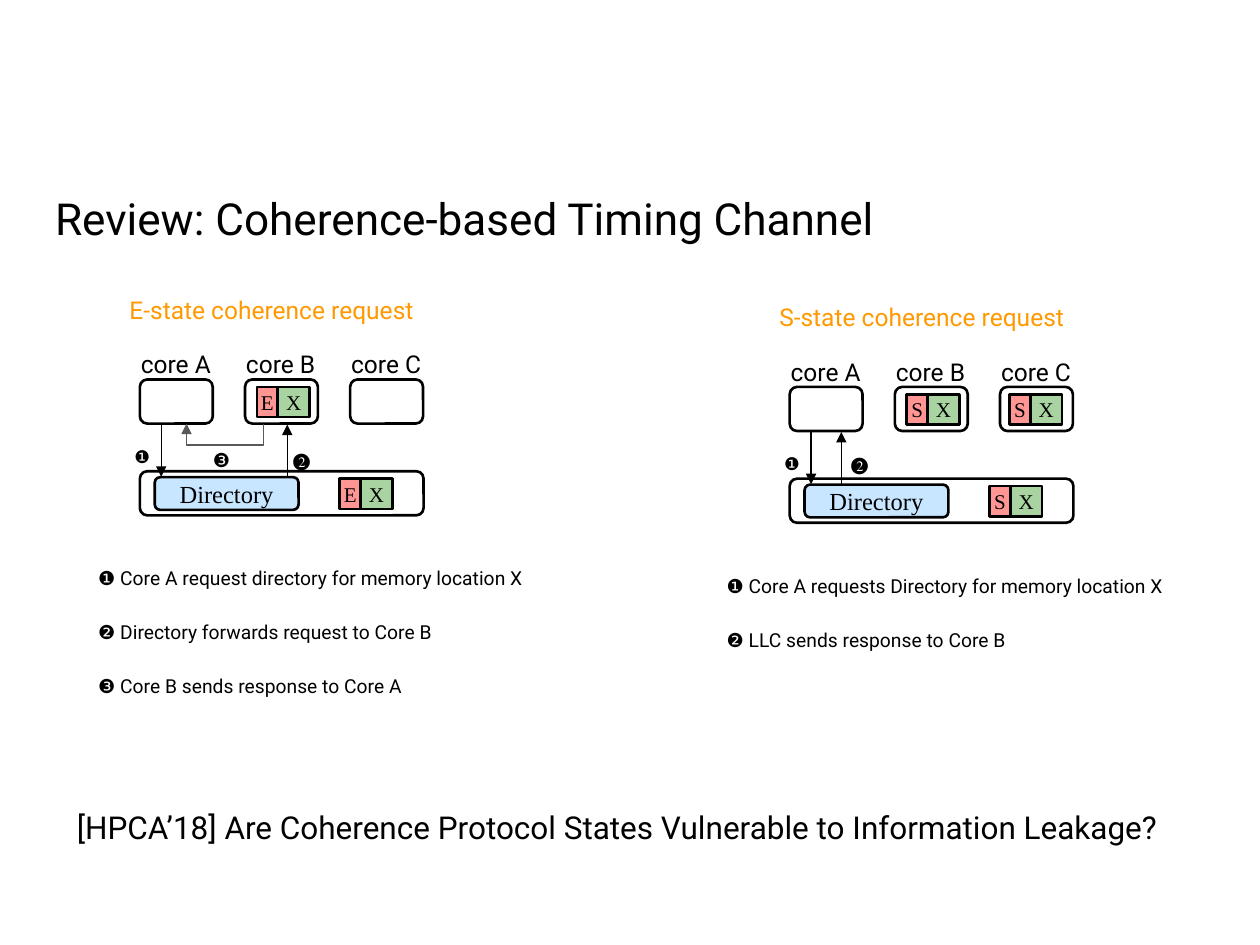
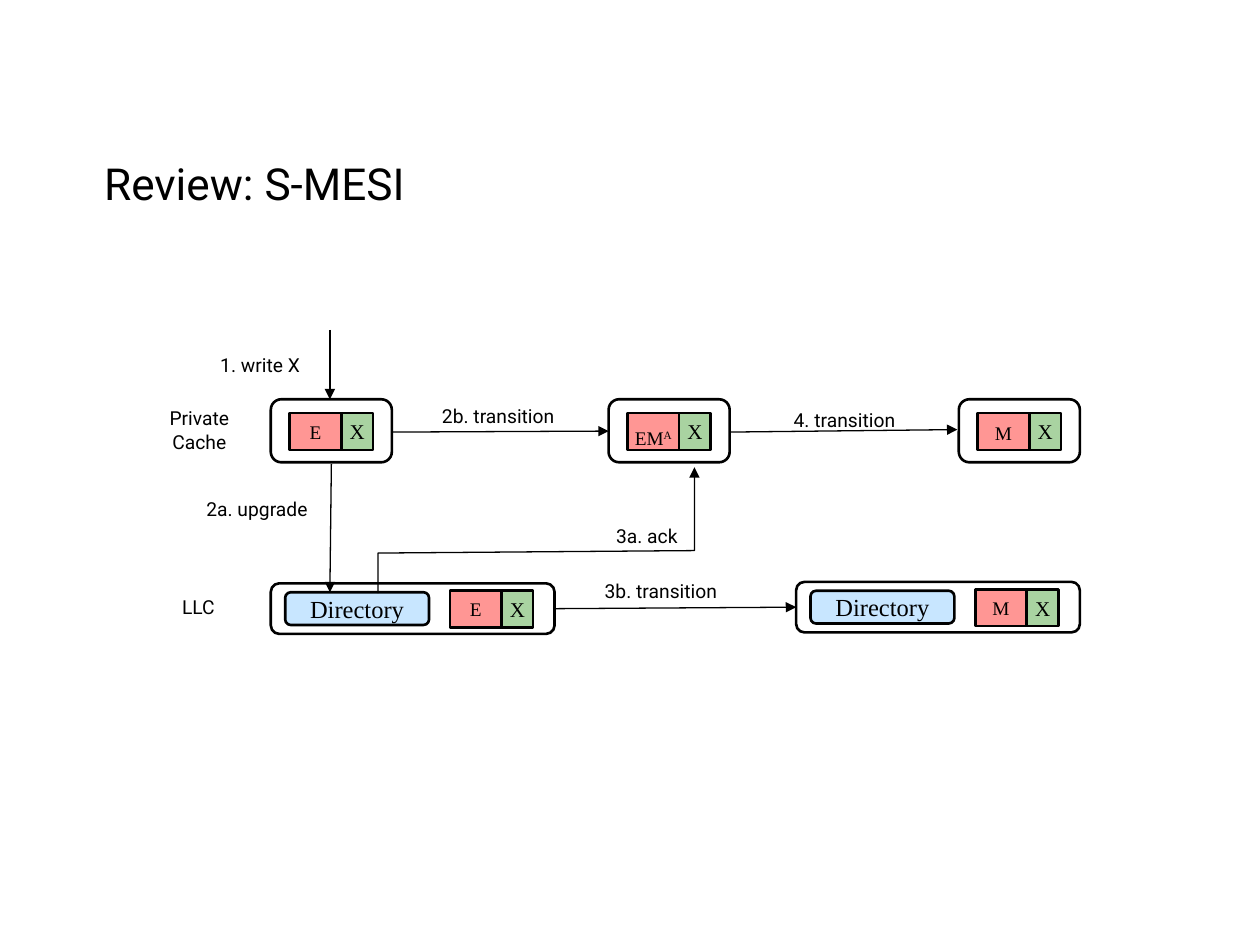
from lxml.etree import SubElement
from pptx import Presentation
from pptx.dml.color import RGBColor
from pptx.enum.shapes import MSO_CONNECTOR, MSO_SHAPE
from pptx.enum.text import MSO_ANCHOR, MSO_AUTO_SIZE, PP_ALIGN
from pptx.oxml.ns import qn
from pptx.util import Cm, Pt

COLORS = {
    "black": "000000",
    "gray": "595959",
    "orange": "FF9900",
    "state": "FF9694",
    "data": "A9D3A1",
    "directory": "C8E6FF",
}
ROUNDED = MSO_SHAPE.ROUNDED_RECTANGLE
SANS, SERIF, SYMBOL = "Roboto", "Times New Roman", "Arial"
TITLE_SIZE = 25.2
CELL = {"font": SERIF, "align": PP_ALIGN.CENTER, "margin": 0, "wrap": False}
DIRECTORY = {"font": SERIF, "size": 14, "align": PP_ALIGN.CENTER, "fill": "directory"}


def add_box(slide, kind, place, text="", fill=None, font=SANS, size=11, color="black",
            align=PP_ALIGN.LEFT, spacing=1.0, margin=0.25, drop=0, wrap=True):
    """Add a preset shape, a text box (kind None) or fill the title (kind "title").

    A caret in the text starts a superscript; drop is extra space above the text.
    """
    lengths = [Cm(length) for length in place]
    if kind == "title":
        shape = slide.shapes.title
        for name, length in zip(("left", "top", "width", "height"), lengths):
            setattr(shape, name, length)
    elif kind is None:
        shape = slide.shapes.add_textbox(*lengths)
    else:
        shape = slide.shapes.add_shape(kind, *lengths)
        shape.shadow.inherit = False
        shape.line.color.rgb = RGBColor.from_string(COLORS["black"])
        shape.line.width = Pt(1.5)
        if fill:
            shape.fill.solid()
            shape.fill.fore_color.rgb = RGBColor.from_string(COLORS[fill])
        else:
            shape.fill.background()
    if not text:
        return

    frame = shape.text_frame
    is_preset = kind not in (None, "title")
    frame_format = {
        "word_wrap": wrap,
        "auto_size": MSO_AUTO_SIZE.NONE,
        "vertical_anchor": MSO_ANCHOR.MIDDLE if is_preset else MSO_ANCHOR.TOP,
        "margin_left": Cm(margin),
        "margin_right": Cm(margin),
        "margin_top": Cm(margin + drop),
        "margin_bottom": Cm(margin),
    }
    for name, value in frame_format.items():
        setattr(frame, name, value)
    for index, line in enumerate(text.split("\n")):
        paragraph = frame.add_paragraph() if index else frame.paragraphs[0]
        paragraph.alignment = align
        paragraph.line_spacing = spacing
        for part, words in enumerate(line.split("^")):
            run = paragraph.add_run()
            run.text = words
            for name, value in {"name": font, "size": Pt(size), "bold": False}.items():
                setattr(run.font, name, value)
            run.font.color.rgb = RGBColor.from_string(COLORS[color])
            if part:
                run.font._element.set("baseline", "30000")


def add_arrow(slide, points, color="black"):
    """Draw a straight connector for two points, otherwise an open bent line."""
    corners = [(Cm(x), Cm(y)) for x, y in points]
    if len(corners) == 2:
        shape = slide.shapes.add_connector(MSO_CONNECTOR.STRAIGHT, *corners[0], *corners[1])
    else:
        builder = slide.shapes.build_freeform(*corners[0])
        builder.add_line_segments(corners[1:], close=False)
        shape = builder.convert_to_shape()
        shape.fill.background()
    shape.line.color.rgb = RGBColor.from_string(COLORS[color])
    shape.line.width = Pt(0.75)
    properties = shape._element.spPr
    SubElement(properties.find(qn("a:ln")), qn("a:tailEnd"), type="triangle")
    SubElement(properties, qn("a:effectLst"))


presentation = Presentation()
presentation.slide_width = Cm(25.4)
presentation.slide_height = Cm(19.05)
title_only = presentation.slide_layouts[5]

# Slide 1: two coherence requests, each laid out from the corner of its core A
slide = presentation.slides.add_slide(title_only)
add_box(slide, "title", (0.86, 3.61, 23.67, 1.6),
        "Review: Coherence-based Timing Channel", size=TITLE_SIZE)

panels = [
    {
        "origin": (2.82, 7.65),
        "state": "E",
        "cells": [(2.36, 0.15), (4.03, 2.0)],
        "response_x": 2.97,
        "response_label": (2.84, 1.07),
        "steps_left": -1.09,
        "steps": [
            ("❶ Core A request directory for memory location X", 9.5),
            ("❷ Directory forwards request to Core B", 8.33),
            ("❸ Core B sends response to Core A", 8.33),
        ],
    },
    {
        "origin": (15.92, 7.8),
        "state": "S",
        "cells": [(2.36, 0.15), (4.43, 0.15), (4.03, 2.0)],
        "response_x": 1.04,
        "response_label": (0.99, 0.99),
        "steps_left": -1.52,
        "steps": [
            ("❶ Core A requests Directory for memory location X", 10.49),
            ("❷ LLC sends response to Core B", 8.33),
        ],
    },
]
for panel in panels:
    left, top = panel["origin"]
    add_box(slide, None, (left - 0.46, top - 1.96, 7.42, 1.12),
            f"{panel['state']}-state coherence request", size=14, color="orange")
    for index, core in enumerate("ABC"):
        core_left = left + index * 2.12
        add_box(slide, ROUNDED, (core_left, top, 1.47, 0.89))
        add_box(slide, None, (core_left - 0.23, top - 0.86, 1.98, 1.7),
                f"core {core}", size=14)
    add_box(slide, ROUNDED, (left, top + 1.85, 5.72, 0.89))
    add_box(slide, ROUNDED, (left + 0.3, top + 1.97, 2.9, 0.66), "Directory", **DIRECTORY)
    for x, y in panel["cells"]:
        add_box(slide, MSO_SHAPE.RECTANGLE, (left + x, top + y, 0.42, 0.61),
                panel["state"], "state", size=12, **CELL)
        add_box(slide, MSO_SHAPE.RECTANGLE, (left + x + 0.42, top + y, 0.64, 0.61),
                "X", "data", size=12, **CELL)

    add_arrow(slide, [(left + 0.43, top + 0.89), (left + 0.43, top + 1.96)])
    add_box(slide, None, (left - 0.36, top + 1.02, 0.64, 1.02), "❶",
            font=SYMBOL, size=10, spacing=1.15)
    response_x = left + panel["response_x"]
    add_arrow(slide, [(response_x, top + 1.96), (response_x, top + 0.91)])
    x, y = panel["response_label"]
    add_box(slide, None, (left + x, top + y, 0.64, 1.04), "❷", font=SERIF, spacing=1.15)
    if len(panel["steps"]) == 3:
        bend = [(2.49, 0.89), (2.49, 1.32), (0.94, 1.32), (0.94, 0.89)]
        add_arrow(slide, [(left + x, top + y) for x, y in bend], "gray")
        add_box(slide, None, (left + 1.22, top + 1.07, 0.64, 1.5), "❸",
                font=SYMBOL, align=PP_ALIGN.CENTER, spacing=1.15)
    for index, (step, width) in enumerate(panel["steps"]):
        add_box(slide, None,
                (left + panel["steps_left"], top + 3.45 + index * 1.09, width, 1.04),
                step, spacing=1.15)

add_box(slide, None, (1.3, 16.03, 22.81, 2.06),
        "[HPCA’18] Are Coherence Protocol States Vulnerable to Information Leakage?", size=18)

# Slide 2: state transitions in the private cache and the LLC
slide = presentation.slides.add_slide(title_only)
add_box(slide, "title", (1.85, 2.9, 23.67, 1.6), "Review: S-MESI", size=TITLE_SIZE)

cache_lines = []
for left, state, drop in [(5.46, "E", 0), (12.27, "EM^A", 0.25), (19.33, "M", 0.05)]:
    add_box(slide, ROUNDED, (left, 8.05, 2.44, 1.27))
    cache_lines.append((left + 0.38, 8.33, state, drop))
for left, top, state in [(5.46, 11.76, "E"), (16.05, 11.73, "M")]:
    add_box(slide, ROUNDED, (left, top, 5.72, 1.02))
    add_box(slide, ROUNDED, (left + 0.29, top + 0.18, 2.9, 0.66), "Directory", **DIRECTORY)
    cache_lines.append((left + 3.61, top + 0.15, state, 0))
for left, top, state, drop in cache_lines:
    add_box(slide, MSO_SHAPE.RECTANGLE, (left, top, 1.04, 0.74), state, "state",
            drop=drop, **CELL)
    add_box(slide, MSO_SHAPE.RECTANGLE, (left + 1.04, top, 0.64, 0.74), "X", "data",
            size=12, **CELL)

transitions = [
    [(6.65, 6.65), (6.65, 8.05)],
    [(6.68, 9.35), (6.65, 11.94)],
    [(7.9, 8.71), (12.27, 8.69)],
    [(7.62, 11.96), (7.62, 11.15), (14, 11.1), (14, 9.42)],
    [(11.18, 12.27), (16.05, 12.24)],
    [(14.71, 8.71), (19.3, 8.66)],
]
for points in transitions:
    add_arrow(slide, points)

transition_labels = [
    ("2a. upgrade", (3.91, 9.78, 2.79, 0.99)),
    ("2b. transition", (8.66, 7.9, 2.9, 1.45)),
    ("3a. ack", (12.17, 10.31, 1.83, 1.45)),
    ("3b. transition", (11.94, 11.43, 2.9, 1.45)),
    ("4. transition", (15.75, 7.98, 2.9, 1.45)),
]
for label, place in transition_labels:
    add_box(slide, None, place, label)
add_box(slide, None, (4.19, 6.81, 3.35, 1.52), "1. write X", spacing=1.15)

for level, place in [("Private\nCache", (2.84, 7.95, 2.36, 1.45)),
                     ("LLC", (2.82, 11.76, 2.36, 0.99))]:
    add_box(slide, None, place, level, align=PP_ALIGN.CENTER)

presentation.save("out.pptx")
